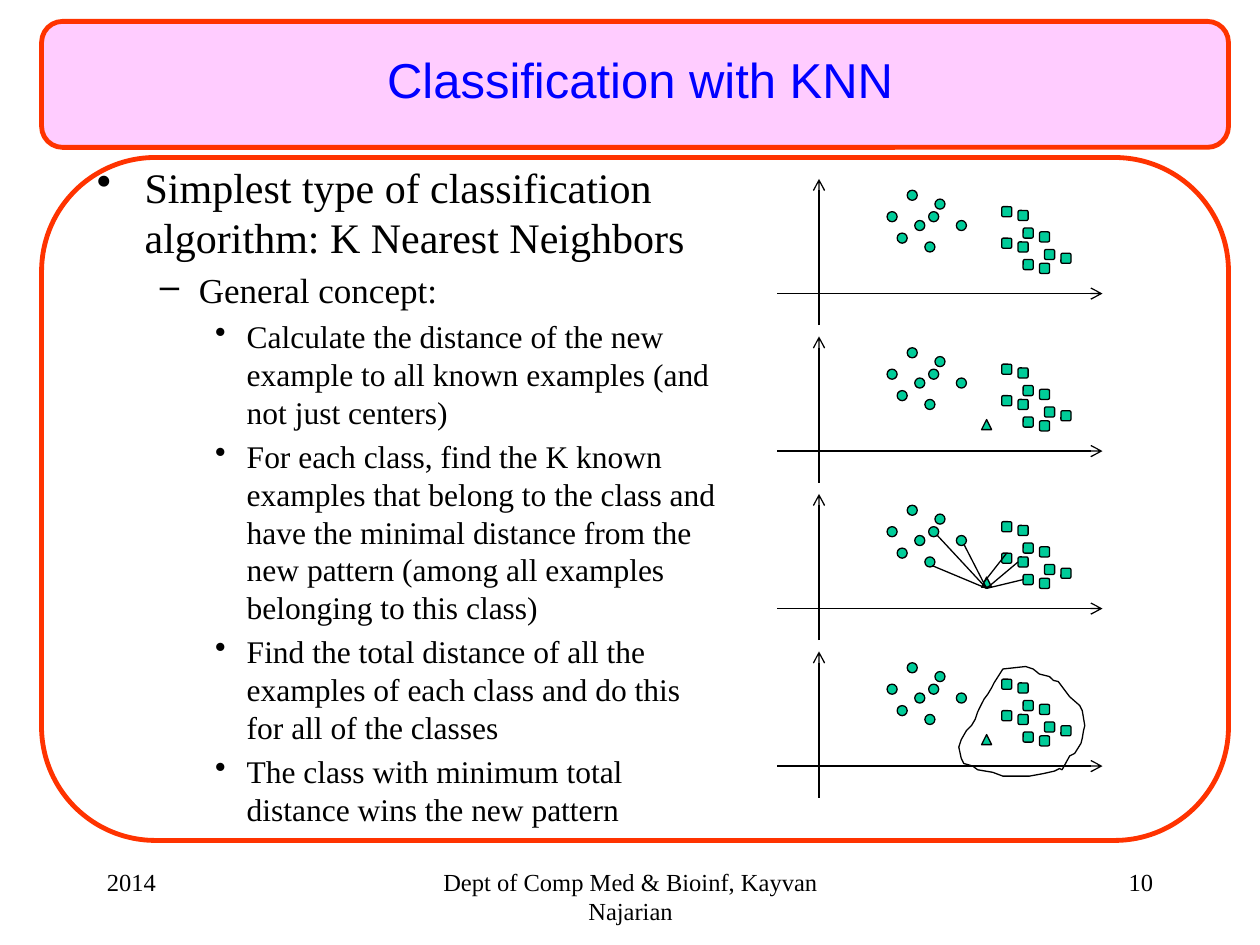
from typing import NamedTuple

from lxml.etree import SubElement
from pptx import Presentation
from pptx.dml.color import RGBColor
from pptx.enum.shapes import MSO_CONNECTOR as Conn, MSO_SHAPE as Kind
from pptx.enum.text import MSO_ANCHOR as Anchor, PP_ALIGN as Align
from pptx.oxml.ns import qn
from pptx.util import Inches, Pt

BLACK, RED, PINK, BLUE, GREEN = "000000", "FF3300", "FFCCFF", "0000FF", "00CC99"
SERIF, SANS = "Times New Roman", "Arial"


class Box(NamedTuple):
    x: float
    y: float
    w: float
    h: float


class Label(NamedTuple):
    text: str
    box: Box
    align: Align
    size: int = 14
    face: str = SERIF
    color: str = BLACK
    anchor: Anchor = Anchor.TOP


class Level(NamedTuple):
    size: int
    left: float
    hang: float
    mark: str


class Cloud(NamedTuple):
    kind: Kind
    starts: tuple
    steps: tuple


prs = Presentation()
prs.slide_width, prs.slide_height = Inches(10), Inches(7.5)
slide = prs.slides.add_slide(prs.slide_layouts[6])
shapes = slide.shapes


def rgb(code: str) -> RGBColor:
    return RGBColor.from_string(code)


def style(shape, fill: str | None, line: str, width: float) -> None:
    shape.shadow.inherit = False
    if fill:
        shape.fill.solid()
        shape.fill.fore_color.rgb = rgb(fill)
    else:
        shape.fill.background()
    shape.line.color.rgb = rgb(line)
    shape.line.width = Pt(width)


def draw(kind: Kind, box: Box, fill: str | None, line: str = BLACK, width: float = 0.75) -> None:
    shape = shapes.add_shape(kind, *map(Inches, box))
    style(shape, fill, line, width)


def link(start: tuple, end: tuple, arrow: bool = False) -> None:
    line = shapes.add_connector(Conn.STRAIGHT, *map(Inches, start + end))
    line.line.color.rgb = rgb(BLACK)
    line.line.width = Pt(0.75)
    if arrow:
        SubElement(line.line._get_or_add_ln(), qn("a:tailEnd"), type="arrow")
    SubElement(line._element.spPr, qn("a:effectLst"))


def frame(box: Box, anchor: Anchor = Anchor.TOP):
    text = shapes.add_textbox(*map(Inches, box)).text_frame
    text.word_wrap = True
    text.vertical_anchor = anchor
    return text


def set_font(para, size: int, face: str, color: str) -> None:
    font = para.font
    font.size, font.name = Pt(size), face
    font.color.rgb = rgb(color)


def write(label: Label) -> None:
    para = frame(label.box, label.anchor).paragraphs[0]
    para.text, para.alignment = label.text, label.align
    set_font(para, label.size, label.face, label.color)


def list_items(box: Box, items: list[tuple[int, str]]) -> None:
    text = frame(box)
    for i, (depth, words) in enumerate(items):
        para = text.add_paragraph() if i else text.paragraphs[0]
        level = LEVELS[depth]
        para.text, para.level = words, depth
        if i:
            para.space_before = Pt(level.size * 0.2)
        props = para._p.get_or_add_pPr()
        props.set("marL", str(Inches(level.left)))
        props.set("indent", str(-Inches(level.hang)))
        SubElement(props, qn("a:buChar"), char=level.mark)
        set_font(para, level.size, SERIF, BLACK)


# Footer, frames and title
for label in (
    Label("2014", Box(0.75, 6.83, 2.08, 0.5), Align.LEFT),
    Label("Dept of Comp Med & Bioinf, Kayvan Najarian", Box(3.42, 6.83, 3.17, 0.5), Align.CENTER),
    Label("10", Box(7.17, 6.83, 2.08, 0.5), Align.RIGHT),
):
    write(label)
draw(Kind.ROUNDED_RECTANGLE, Box(0.33, 0.17, 9.42, 1), PINK, RED, 2.75)
draw(Kind.ROUNDED_RECTANGLE, Box(0.33, 1.25, 9.42, 5.42), None, RED, 2.75)
write(Label("Classification with KNN", Box(0.83, 0.25, 8.5, 0.75), Align.CENTER,
            28, SANS, BLUE, Anchor.MIDDLE))

# Body list
LEVELS = (Level(24, 0.38, 0.38, "•"), Level(20, 0.81, 0.31, "–"), Level(18, 1.19, 0.25, "•"))
list_items(Box(0.67, 1.23, 5.17, 4.92), [
    (0, "Simplest type of classification algorithm: K Nearest Neighbors"),
    (1, "General concept:"),
    (2, "Calculate the distance of the new example to all known examples (and not just centers)"),
    (2, "For each class, find the K known examples that belong to the class and have the "
        "minimal distance from the new pattern (among all examples belonging to this class)"),
    (2, "Find the total distance of all the examples of each class and do this for all of "
        "the classes"),
    (2, "The class with minimum total distance wins the new pattern"),
])

# Four plots: each class is one pattern of dots, set twice
DOT, PITCH, TOP = 0.08, 1.25, 1.42
CLOUDS = (
    Cloud(Kind.OVAL, ((7.2, 0.09), (7.42, 0.16)),
          ((0, 0), (-0.16, 0.17), (0.17, 0.17), (-0.08, 0.34))),
    Cloud(Kind.ROUNDED_RECTANGLE, ((8.08, 0.25), (7.95, 0.22)),
          ((0, 0), (0.17, 0.17), (0.34, 0.34), (0, 0.25), (0.17, 0.42))),
)


def plot(top: float, query: bool) -> None:
    link((6.5, top + 1.16), (6.5, top), arrow=True)
    link((6.17, top + 0.91), (8.75, top + 0.91), arrow=True)
    for cloud in CLOUDS:
        for x, y in cloud.starts:
            for dx, dy in cloud.steps:
                draw(cloud.kind, Box(x + dx, top + y + dy, DOT, DOT), GREEN)
    if query:
        draw(Kind.ISOSCELES_TRIANGLE, Box(7.79, top + 0.66, DOT, DOT), GREEN)


for i in range(4):
    plot(TOP + i * PITCH, query=i > 0)

# Third plot: lines to the nearest dots
HUB = (7.83, 4.67)
for end in ((8.12, 4.6), (8.08, 4.46), (7.65, 4.32), (7.4, 4.49), (7.44, 4.25)):
    link(HUB, end)
link((7.81, 4.62), (7.99, 4.39))

# Fourth plot: loop round the winning class, in hundredths of an inch
LOOP = (
    (843, 611), (849, 600), (853, 598), (858, 590), (859, 586), (860, 580), (861, 576),
    (859, 564), (857, 560), (849, 553), (843, 545), (840, 541), (836, 540), (833, 537),
    (825, 535), (820, 531), (814, 529), (805, 530), (796, 531), (789, 542), (787, 546),
    (784, 551), (781, 555), (778, 561), (776, 565), (774, 571), (771, 576), (767, 580),
    (763, 587), (761, 593), (763, 602), (765, 606), (772, 608), (776, 611), (788, 613),
    (796, 616), (817, 616), (828, 614), (837, 612), (841, 610),
)
pen = shapes.build_freeform(*LOOP[0], scale=Inches(0.01))
pen.add_line_segments(LOOP[1:], close=True)
style(pen.convert_to_shape(), None, BLACK, 0.75)

prs.save("out.pptx")
